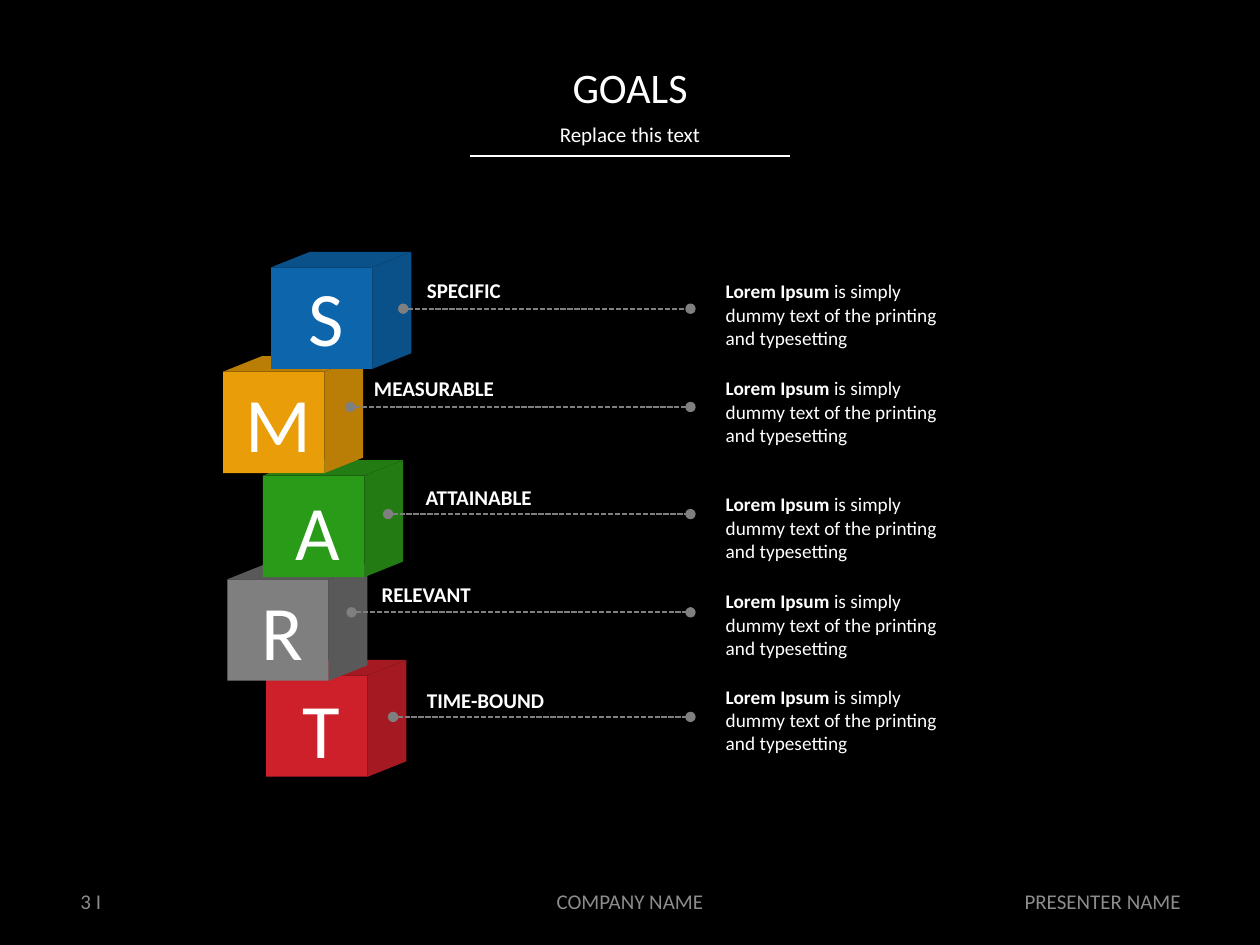
"""Build the SMART goals slide: five stacked cubes, each with a label and a note."""
from dataclasses import dataclass

from lxml import etree
from pptx import Presentation
from pptx import util as u
from pptx.dml import color
from pptx.enum import dml, shapes, text
from pptx.oxml import ns

COLUMNS, ROWS = 100, 75
CELL = u.Inches(0.1)
CUBE_SIDE, DEPTH_ACROSS, DEPTH_UP = 8.05, 3.08, 1.23
LINE_END = 54.8
LEFT, CENTER, RIGHT = text.PP_ALIGN.LEFT, text.PP_ALIGN.CENTER, text.PP_ALIGN.RIGHT
TOP, MIDDLE = text.MSO_ANCHOR.TOP, text.MSO_ANCHOR.MIDDLE


@dataclass(frozen=True)
class Theme:
    font: str = "Calibri"
    backdrop: str = "000000"
    ink: str = "FFFFFF"
    footer: str = "8C8C8C"
    leader: str = "7F7F7F"
    title_size: float = 24
    body_size: float = 12
    note_size: float = 11
    letter_size: float = 44
    line_width: float = 1


@dataclass(frozen=True)
class Area:
    column: float
    row: float
    width: float
    height: float


@dataclass(frozen=True)
class Goal:
    letter: str
    label: str
    front: str
    shade: str
    cube: tuple[float, float]
    letter_row: float
    leader: tuple[float, float]
    label_area: Area
    note_row: float


THEME = Theme()
GOALS = (
    Goal("S", "SPECIFIC", "0D65AC", "0A518A", (21.52, 21.22), 20.9,
         (32, 24.5), Area(32.9, 21.5, 8, 3), 21.8),
    Goal("M", "MEASURABLE", "E99E09", "BA7E07", (17.7, 29.5), 29.3,
         (27.8, 32.3), Area(28.7, 29.3, 11.7, 3), 29.5),
    Goal("A", "ATTAINABLE", "2A9B18", "227C13", (20.87, 37.75), 37.9,
         (30.8, 40.8), Area(32.8, 38, 10.6, 3), 38.7),
    Goal("R", "RELEVANT", "7F7F7F", "595959", (18.04, 45.98), 45.8,
         (27.9, 48.6), Area(29.3, 45.7, 9.2, 3), 46.4),
    Goal("T", "TIME-BOUND", "CE202A", "A51A22", (21.13, 53.6), 53.6,
         (31.2, 56.9), Area(32.9, 54.1, 11.5, 3), 54),
)
FOOTERS = (
    ("3 I", Area(5.4, 69.5, 22.5, 4), LEFT),
    ("COMPANY NAME", Area(33.1, 69.5, 33.8, 4), CENTER),
    ("PRESENTER NAME", Area(72.2, 69.5, 22.5, 4), RIGHT),
)


def cells(count: float) -> int:
    """Turn a count of grid cells into a length."""
    return round(count * CELL)


def rgb(value: str) -> color.RGBColor:
    """Turn a hex value into a colour."""
    return color.RGBColor.from_string(value)


def place(area: Area) -> list[int]:
    """Return left, top, width and height of an area."""
    return [cells(n) for n in (area.column, area.row, area.width, area.height)]


def add_text(page, area: Area, words: str, size: float, align=LEFT, anchor=TOP,
             ink: str = THEME.ink, bold: bool = False, wrap: bool = True):
    """Add a one-paragraph text box and return it."""
    box = page.shapes.add_textbox(*place(area))
    frame = box.text_frame
    frame.word_wrap = wrap
    frame.vertical_anchor = anchor
    para = frame.paragraphs[0]
    para.alignment = align
    para.font.name = THEME.font
    para.font.size = u.Pt(size)
    para.font.bold = bold
    para.font.color.rgb = rgb(ink)
    para.add_run().text = words
    return box


def paint(shape, fill: str) -> None:
    """Give a shape a flat fill without outline or shadow."""
    shape.fill.solid()
    shape.fill.fore_color.rgb = rgb(fill)
    shape.line.fill.background()
    shape.shadow.inherit = False


def add_line(page, start: tuple[float, float], end: tuple[float, float], ink: str):
    """Add a straight line without shadow and return it."""
    line = page.shapes.add_connector(
        shapes.MSO_CONNECTOR.STRAIGHT, *map(cells, start + end))
    line.line.color.rgb = rgb(ink)
    line.line.width = u.Pt(THEME.line_width)
    etree.SubElement(line.element.spPr, ns.qn("a:effectLst"))
    return line


def add_leader(page, start: tuple[float, float]) -> None:
    """Add a dashed line with a dot at each end."""
    leader = add_line(page, start, (LINE_END, start[1]), THEME.leader)
    leader.line.dash_style = dml.MSO_LINE.SQUARE_DOT
    outline = leader.element.spPr.find(ns.qn("a:ln"))
    for tag in ("a:headEnd", "a:tailEnd"):
        etree.SubElement(outline, ns.qn(tag), type="oval")


def add_face(page, corners: list[tuple[float, float]], fill: str) -> None:
    """Add one slanted face of a cube."""
    points = [(cells(x), cells(y)) for x, y in corners]
    builder = page.shapes.build_freeform(*points[0])
    builder.add_line_segments(points[1:], close=True)
    paint(builder.convert_to_shape(), fill)


def add_cube(page, goal: Goal) -> None:
    """Add a cube with its letter."""
    left, top = goal.cube
    right, bottom = left + CUBE_SIDE, top + CUBE_SIDE
    back, rise = right + DEPTH_ACROSS, top - DEPTH_UP
    front = page.shapes.add_shape(
        shapes.MSO_SHAPE.RECTANGLE, *place(Area(left, top, CUBE_SIDE, CUBE_SIDE)))
    paint(front, goal.front)
    add_face(page, [(right, bottom), (back, bottom - DEPTH_UP), (back, rise),
                    (right, top)], goal.shade)
    add_face(page, [(back, rise), (left + DEPTH_ACROSS, rise), (left, top),
                    (right, top)], goal.shade)
    add_text(page, Area(left + 0.35, goal.letter_row, CUBE_SIDE, 8.4), goal.letter,
             THEME.letter_size, CENTER, wrap=False)


def add_note(page, row: float) -> None:
    """Add a note that opens with bold words."""
    box = add_text(page, Area(57.2, row, 19.4, 5.3), "Lorem Ipsum ", THEME.note_size)
    frame = box.text_frame
    frame.margin_left = frame.margin_right = cells(0.4)
    frame.margin_top = frame.margin_bottom = cells(0.4)
    para = frame.paragraphs[0]
    para.runs[0].font.bold = True
    para.add_run().text = "is simply dummy text of the printing and typesetting"


def add_heading(page) -> None:
    """Add the title, the subtitle and the rule below them."""
    add_text(page, Area(6.9, 4.4, 86.2, 5), "GOALS", THEME.title_size, CENTER, MIDDLE)
    subtitle = add_text(page, Area(6.9, 9.5, 86.2, 2.8), "Replace this text",
                        THEME.body_size, CENTER)
    para = subtitle.text_frame.paragraphs[0]
    para.line_spacing = 0.8
    para.space_before = u.Pt(10)
    add_line(page, (37.3, 12.4), (62.7, 12.4), THEME.ink)


def main() -> None:
    """Build and save the deck."""
    deck = Presentation()
    deck.slide_width, deck.slide_height = cells(COLUMNS), cells(ROWS)
    page = deck.slides.add_slide(deck.slide_layouts[6])
    page.background.fill.solid()
    page.background.fill.fore_color.rgb = rgb(THEME.backdrop)
    add_heading(page)
    for words, area, align in FOOTERS:
        add_text(page, area, words, THEME.body_size, align, MIDDLE, THEME.footer)
    for goal in reversed(GOALS):
        add_cube(page, goal)
    for goal in GOALS:
        add_leader(page, goal.leader)
        add_note(page, goal.note_row)
        add_text(page, goal.label_area, goal.label, THEME.body_size, bold=True, wrap=False)
    deck.save("out.pptx")


if __name__ == "__main__":
    main()
